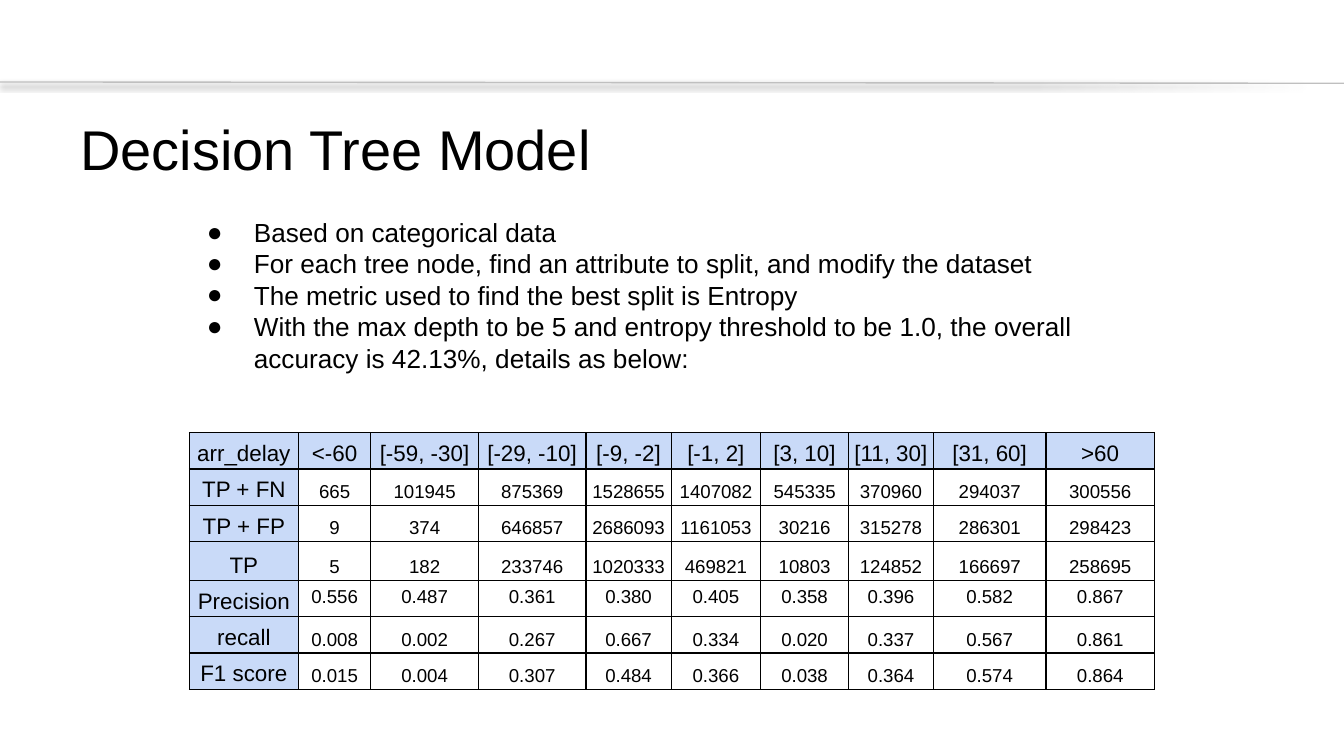
from dataclasses import dataclass

from lxml import etree
from pptx import Presentation
from pptx.dml.color import RGBColor
from pptx.enum.shapes import MSO_CONNECTOR
from pptx.enum.text import MSO_ANCHOR, PP_ALIGN
from pptx.oxml.ns import qn
from pptx.util import Inches, Pt

STRAIGHT = MSO_CONNECTOR.STRAIGHT
TOP, MIDDLE, BOTTOM = MSO_ANCHOR.TOP, MSO_ANCHOR.MIDDLE, MSO_ANCHOR.BOTTOM
CENTER = PP_ALIGN.CENTER

# Layout grid: square cells on a 16:9 slide
CELL = Inches(0.1)
COLUMNS, ROWS = 100, 56.25


@dataclass(frozen=True)
class Theme:
    font: str = "Arial"
    ink: str = "000000"
    rule: str = "BFBFBF"
    header: str = "C9DAF8"
    paper: str = "FFFFFF"
    title: int = 30
    body: int = 14
    label: int = 12
    value: int = 10
    hairline: float = 0.75


THEME = Theme()

TITLE = "Decision Tree Model"
POINTS = [
    "Based on categorical data",
    "For each tree node, find an attribute to split, and modify the dataset",
    "The metric used to find the best split is Entropy",
    "With the max depth to be 5 and entropy threshold to be 1.0, "
    "the overall accuracy is 42.13%, details as below:",
]
RESULTS = [
    ["arr_delay", "<-60", "[-59, -30]", "[-29, -10]", "[-9, -2]",
     "[-1, 2]", "[3, 10]", "[11, 30]", "[31, 60]", ">60"],
    ["TP + FN", "665", "101945", "875369", "1528655",
     "1407082", "545335", "370960", "294037", "300556"],
    ["TP + FP", "9", "374", "646857", "2686093",
     "1161053", "30216", "315278", "286301", "298423"],
    ["TP", "5", "182", "233746", "1020333",
     "469821", "10803", "124852", "166697", "258695"],
    ["Precision", "0.556", "0.487", "0.361", "0.380",
     "0.405", "0.358", "0.396", "0.582", "0.867"],
    ["recall", "0.008", "0.002", "0.267", "0.667",
     "0.334", "0.020", "0.337", "0.567", "0.861"],
    ["F1 score", "0.015", "0.004", "0.307", "0.484",
     "0.366", "0.038", "0.364", "0.574", "0.864"],
]
PRECISION_ROW = 4
COLUMN_SHARES = [8.1, 5.4, 8, 8, 6.35, 6.65, 6.55, 6.3, 8.4, 8.05]
ROW_SHARES = [2.64, 2.64, 2.64, 2.9, 2.64, 2.64, 2.64]


def grid(*cells):
    return [round(n * CELL) for n in cells]


def add_xml(parent, tag, **attributes):
    return etree.SubElement(parent, qn(tag), attributes)


def apply(target, formats):
    for name, value in formats.items():
        setattr(target, name, value)


def style_text(paragraph, size):
    apply(paragraph.font, {"name": THEME.font, "size": Pt(size)})
    paragraph.font.color.rgb = RGBColor.from_string(THEME.ink)


def write(paragraph, text, size):
    paragraph.text = text
    style_text(paragraph, size)
    for run in paragraph.runs:
        style_text(run, size)


def add_header_rule(slide, box):
    left, top, width, height = grid(*box)
    rule = slide.shapes.add_connector(
        STRAIGHT, left, top, left + width, top + height)
    rule.line.color.rgb = RGBColor.from_string(THEME.rule)
    rule.line.width = Pt(THEME.hairline)
    # Soft shadow straight below the rule
    effects = add_xml(rule._element.spPr, "a:effectLst")
    shadow = add_xml(effects, "a:outerShdw", blurRad=str(Pt(3.1)),
                     dist=str(Pt(1.6)), dir="5400000",
                     algn="t", rotWithShape="0")
    tint = add_xml(shadow, "a:srgbClr", val=THEME.ink)
    add_xml(tint, "a:alpha", val="38000")


def add_title(slide, box):
    frame = slide.shapes.add_textbox(*grid(*box)).text_frame
    apply(frame, {"word_wrap": True, "vertical_anchor": MIDDLE})
    write(frame.paragraphs[0], TITLE, THEME.title)


def add_points(slide, box):
    frame = slide.shapes.add_textbox(*grid(*box)).text_frame
    inset = CELL
    apply(frame, {"word_wrap": True, "vertical_anchor": TOP,
                  "margin_left": inset, "margin_right": inset,
                  "margin_top": inset, "margin_bottom": inset})
    for index, point in enumerate(POINTS):
        paragraph = frame.add_paragraph() if index else frame.paragraphs[0]
        # Hanging bullet
        properties = paragraph._p.get_or_add_pPr()
        properties.set("marL", str(Inches(0.5)))
        properties.set("indent", str(Inches(-0.35)))
        color = add_xml(properties, "a:buClr")
        add_xml(color, "a:srgbClr", val=THEME.ink)
        add_xml(properties, "a:buFont", typeface=THEME.font)
        add_xml(properties, "a:buChar", char="●")
        write(paragraph, point, THEME.body)


def add_borders(cell):
    properties = cell._tc.get_or_add_tcPr()
    for side in ("a:lnL", "a:lnR", "a:lnT", "a:lnB"):
        border = add_xml(properties, side, w=str(Pt(THEME.hairline)))
        fill = add_xml(border, "a:solidFill")
        add_xml(fill, "a:srgbClr", val=THEME.ink)


def add_results(slide, box):
    left, top, width, height = grid(*box)
    results = slide.shapes.add_table(
        len(RESULTS), len(RESULTS[0]), left, top, width, height).table
    apply(results, {"first_row": False, "horz_banding": False})

    # Share the box among columns and rows
    for column, share in zip(results.columns, COLUMN_SHARES):
        column.width = round(width * share / sum(COLUMN_SHARES))
    for row, share in zip(results.rows, ROW_SHARES):
        row.height = round(height * share / sum(ROW_SHARES))

    for r, values in enumerate(RESULTS):
        for c, value in enumerate(values):
            is_label = r == 0 or c == 0
            at_top = r == PRECISION_ROW and not is_label
            cell = results.cell(r, c)
            apply(cell, {"margin_left": Inches(0.03),
                         "margin_right": Inches(0.03),
                         "margin_top": Inches(0.02),
                         "margin_bottom": Inches(0.02),
                         "vertical_anchor": TOP if at_top else BOTTOM})
            add_borders(cell)
            cell.fill.solid()
            cell.fill.fore_color.rgb = RGBColor.from_string(
                THEME.header if is_label else THEME.paper)
            paragraph = cell.text_frame.paragraphs[0]
            apply(paragraph, {"alignment": CENTER, "line_spacing": 1.15})
            write(paragraph, value, THEME.label if is_label else THEME.value)


def main():
    deck = Presentation()
    deck.slide_width, deck.slide_height = grid(COLUMNS, ROWS)
    slide = deck.slides.add_slide(deck.slide_layouts[6])
    add_header_rule(slide, (0, 6.1, COLUMNS, 0.1))
    add_title(slide, (5, 7.7, 90, 6.6))
    add_points(slide, (12.9, 15.1, 74.2, 13.8))
    add_results(slide, (14.1, 32.2, sum(COLUMN_SHARES), sum(ROW_SHARES)))
    deck.save("out.pptx")


if __name__ == "__main__":
    main()
